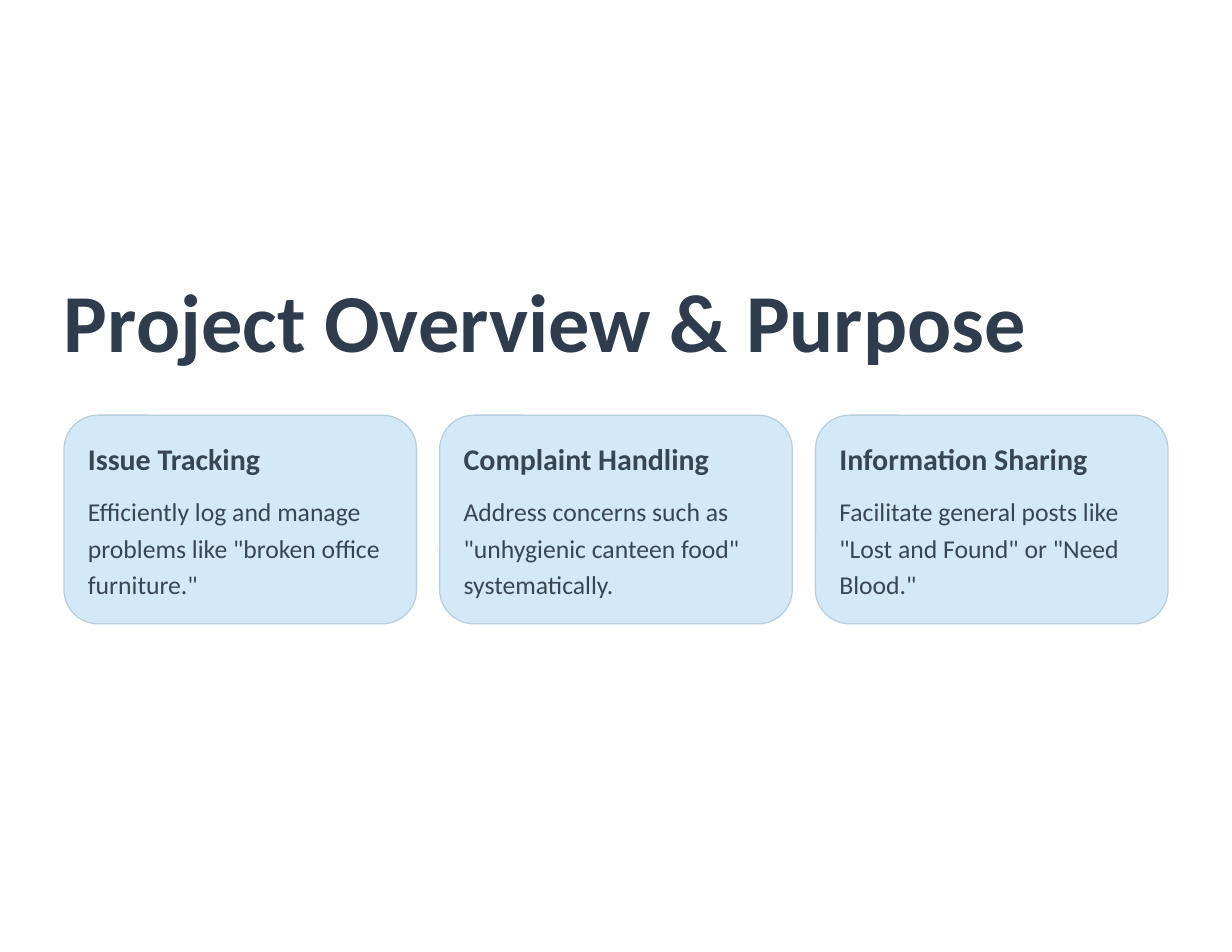
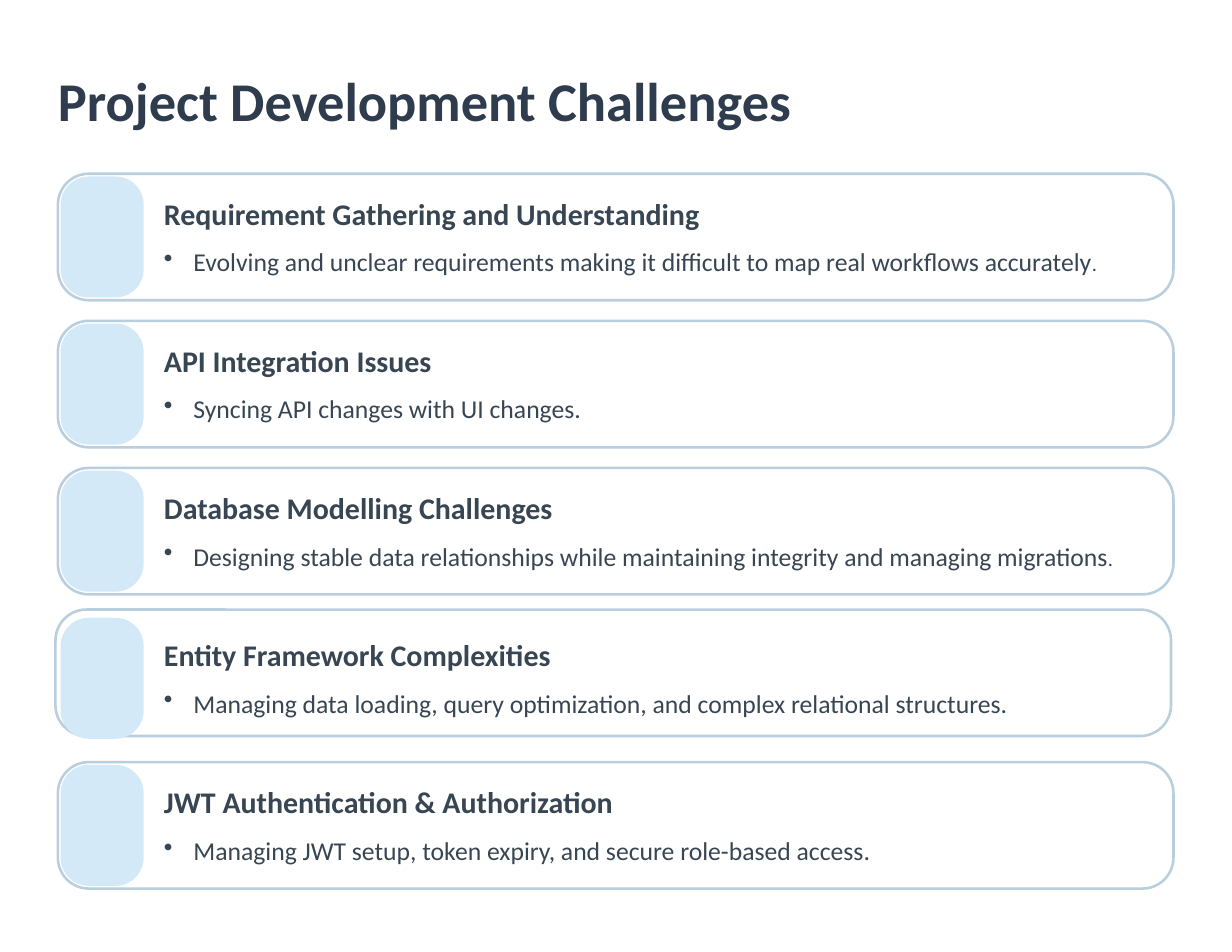
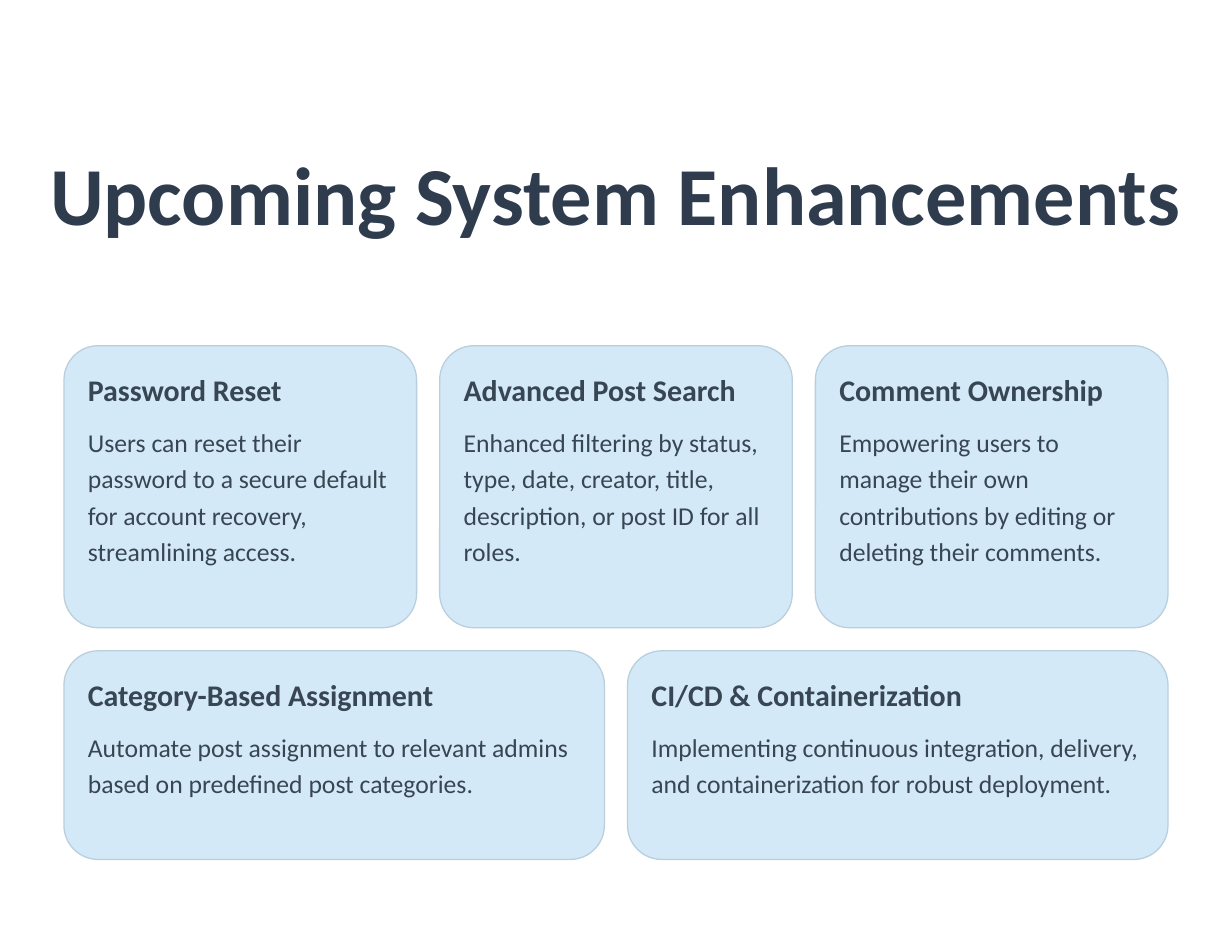
from lxml import etree
from pptx import Presentation
from pptx.dml.color import RGBColor
from pptx.enum.shapes import MSO_SHAPE
from pptx.enum.text import MSO_ANCHOR, MSO_AUTO_SIZE, PP_ALIGN
from pptx.oxml.ns import qn
from pptx.util import Cm, Pt

FONT = "Calibri"
NAVY, SLATE = "2E3C4E", "384653"
PALE_BLUE, EDGE_BLUE, WHITE = "D4E9F7", "BACFDD", "FFFFFF"

# Titles: text, (left, top, width, height) in cm, size, line spacing in points
OVERVIEW_TITLE = ("Project Overview & Purpose", (2.11, 8.76, 33.78, 3.4), 77, 96.5)
CHALLENGES_TITLE = ("Project Development Challenges", (1.91, 2.11, 25.81, 2.26), 51, 63.5)
ENHANCEMENTS_TITLE = ("Upcoming System Enhancements", (1.65, 4.57, 38.1, 6.83), 77, 96.5)

# Card rows: height in cm, then heading and body of each card
OVERVIEW_ROWS = [
    (6.88, [
        ("Issue Tracking",
         'Efficiently log and manage problems like "broken office furniture."'),
        ("Complaint Handling",
         'Address concerns such as "unhygienic canteen food" systematically.'),
        ("Information Sharing",
         'Facilitate general posts like "Lost and Found" or "Need Blood."'),
    ]),
]
ENHANCEMENT_ROWS = [
    (9.3, [
        ("Password Reset",
         "Users can reset their password to a secure default for account recovery, "
         "streamlining access."),
        ("Advanced Post Search",
         "Enhanced filtering by status, type, date, creator, title, description, "
         "or post ID for all roles."),
        ("Comment Ownership",
         "Empowering users to manage their own contributions by editing or deleting "
         "their comments."),
    ]),
    (6.88, [
        ("Category-Based Assignment",
         "Automate post assignment to relevant admins based on predefined post categories."),
        ("CI/CD & Containerization",
         "Implementing continuous integration, delivery, and containerization for "
         "robust deployment."),
    ]),
]

# Challenges: heading, detail, size of the full stop, shift of the panel in cm
CHALLENGES = [
    ("Requirement Gathering and Understanding",
     "Evolving and unclear requirements making it difficult to map real workflows accurately",
     19, (0, 0)),
    ("API Integration Issues", "Syncing API changes with UI changes", 24, (0, 0)),
    ("Database Modelling Challenges",
     "Designing stable data relationships while maintaining integrity and managing migrations",
     19, (0, 0)),
    ("Entity Framework Complexities",
     "Managing data loading, query optimization, and complex relational structures",
     24, (-0.08, -0.18)),
    ("JWT Authentication & Authorization",
     "Managing JWT setup, token expiry, and secure role-based access", 24, (0, 0)),
]

CARDS_LEFT, CARDS_WIDTH, CARD_GAP, CARD_INSET = 2.11, 36.42, 0.76, 0.79
BODY_OFFSET = 2.49
PANEL_LEFT, PANELS_TOP, PANEL_STEP = 1.91, 5.73, 4.85
DETAIL_SIZE = 24


def color(hex_string):
    return RGBColor.from_string(hex_string)


def lengths(box):
    return [Cm(value) for value in box]


def style_text(frame, size, spacing, ink, bold):
    """Give a frame without margins one paragraph style, and return its paragraph."""
    frame.word_wrap = True
    frame.auto_size = MSO_AUTO_SIZE.NONE
    frame.vertical_anchor = MSO_ANCHOR.TOP
    frame.margin_left = frame.margin_right = frame.margin_top = frame.margin_bottom = 0
    paragraph = frame.paragraphs[0]
    paragraph.alignment = PP_ALIGN.LEFT
    paragraph.line_spacing = Pt(spacing)
    font = paragraph.font
    font.name, font.size, font.bold = FONT, Pt(size), bold
    font.color.rgb = color(ink)
    return paragraph


def add_titled_slide(deck, title):
    words, box, size, spacing = title
    slide = deck.slides.add_slide(deck.slide_layouts[5])
    heading = slide.shapes.title
    heading.left, heading.top, heading.width, heading.height = lengths(box)
    heading.text_frame.text = words
    style_text(heading.text_frame, size, spacing, NAVY, True)
    return slide


def add_text(slide, words, box, size, spacing, bold=False):
    frame = slide.shapes.add_textbox(*lengths(box)).text_frame
    frame.text = words
    return style_text(frame, size, spacing, SLATE, bold)


def add_rounded(slide, box, radius, fill, line_width=None):
    shape = slide.shapes.add_shape(MSO_SHAPE.ROUNDED_RECTANGLE, *lengths(box))
    shape.adjustments[0] = radius / min(box[2:])
    shape.shadow.inherit = False
    shape.fill.solid()
    shape.fill.fore_color.rgb = color(fill)
    if line_width:
        shape.line.color.rgb = color(EDGE_BLUE)
        shape.line.width = Pt(line_width)
    else:
        shape.line.fill.background()


def add_card_rows(slide, top, rows):
    """Stack rows of cards, each row sharing the full width equally."""
    for height, cards in rows:
        width = (CARDS_WIDTH - CARD_GAP * (len(cards) - 1)) / len(cards)
        text_width = width - 2 * CARD_INSET
        for column, (heading, body) in enumerate(cards):
            left = CARDS_LEFT + column * (width + CARD_GAP)
            text_left = left + CARD_INSET
            add_rounded(slide, (left, top, width, height), 1.13, PALE_BLUE, 1.2)
            add_text(slide, heading, (text_left, top + CARD_INSET, text_width, 1.24),
                     28, 35, bold=True)
            add_text(slide, body, (text_left, top + BODY_OFFSET, text_width,
                                   height - BODY_OFFSET - CARD_INSET), DETAIL_SIZE, 34)
        top += height + CARD_GAP


def add_bullet(paragraph, indent):
    properties = paragraph._p.get_or_add_pPr()
    properties.set("marL", str(Cm(indent)))
    properties.set("indent", str(-Cm(indent)))
    bullet = etree.Element(qn("a:buChar"), char="•")
    default_font = properties.find(qn("a:defRPr"))
    default_font.addprevious(bullet)


def add_challenge(slide, top, challenge):
    heading, detail, stop_size, (shift_x, shift_y) = challenge
    add_rounded(slide, (PANEL_LEFT + shift_x, top + shift_y, 36.8, 4.17), 1.02, WHITE, 2.4)
    add_rounded(slide, (PANEL_LEFT + 0.09, top + 0.09, 2.74, 3.99), 0.93, PALE_BLUE)
    text_left = PANEL_LEFT + 3.5
    add_text(slide, heading, (text_left, top + 0.78, 32.54, 1.12), 28, 31.5, bold=True)
    sentence = add_text(slide, detail, (text_left, top + 2.31, 32.54, 1.09), DETAIL_SIZE, 31)
    add_bullet(sentence, 0.97)
    stop = sentence.add_run()
    stop.text = "."
    if stop_size != DETAIL_SIZE:
        stop.font.size = Pt(stop_size)


def main():
    deck = Presentation()
    deck.slide_width, deck.slide_height = Cm(40.64), Cm(31.39)

    overview = add_titled_slide(deck, OVERVIEW_TITLE)
    add_card_rows(overview, 13.69, OVERVIEW_ROWS)

    challenges = add_titled_slide(deck, CHALLENGES_TITLE)
    for row, challenge in enumerate(CHALLENGES):
        add_challenge(challenges, PANELS_TOP + row * PANEL_STEP, challenge)

    enhancements = add_titled_slide(deck, ENHANCEMENTS_TITLE)
    add_card_rows(enhancements, 11.4, ENHANCEMENT_ROWS)

    deck.save("out.pptx")


if __name__ == "__main__":
    main()
